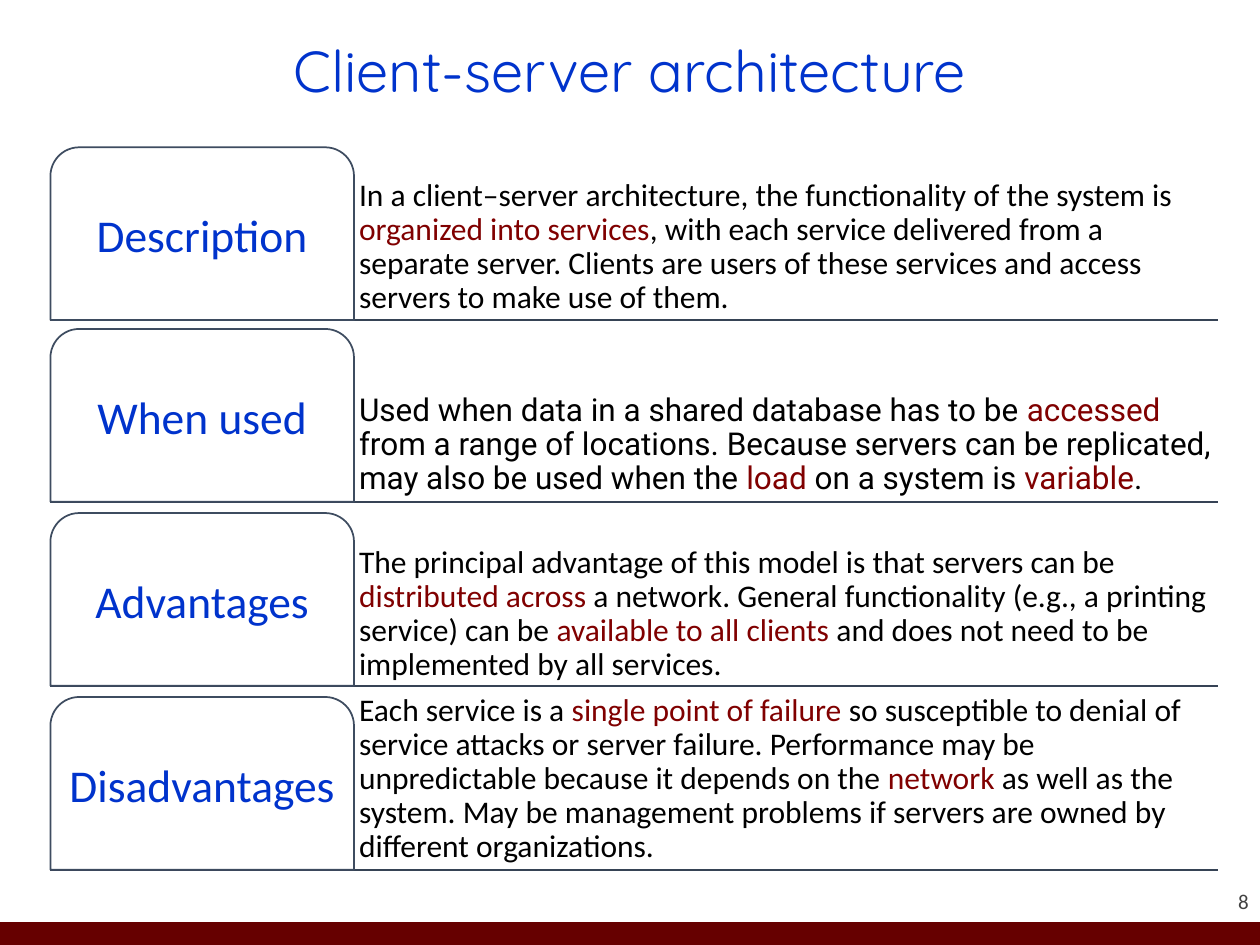
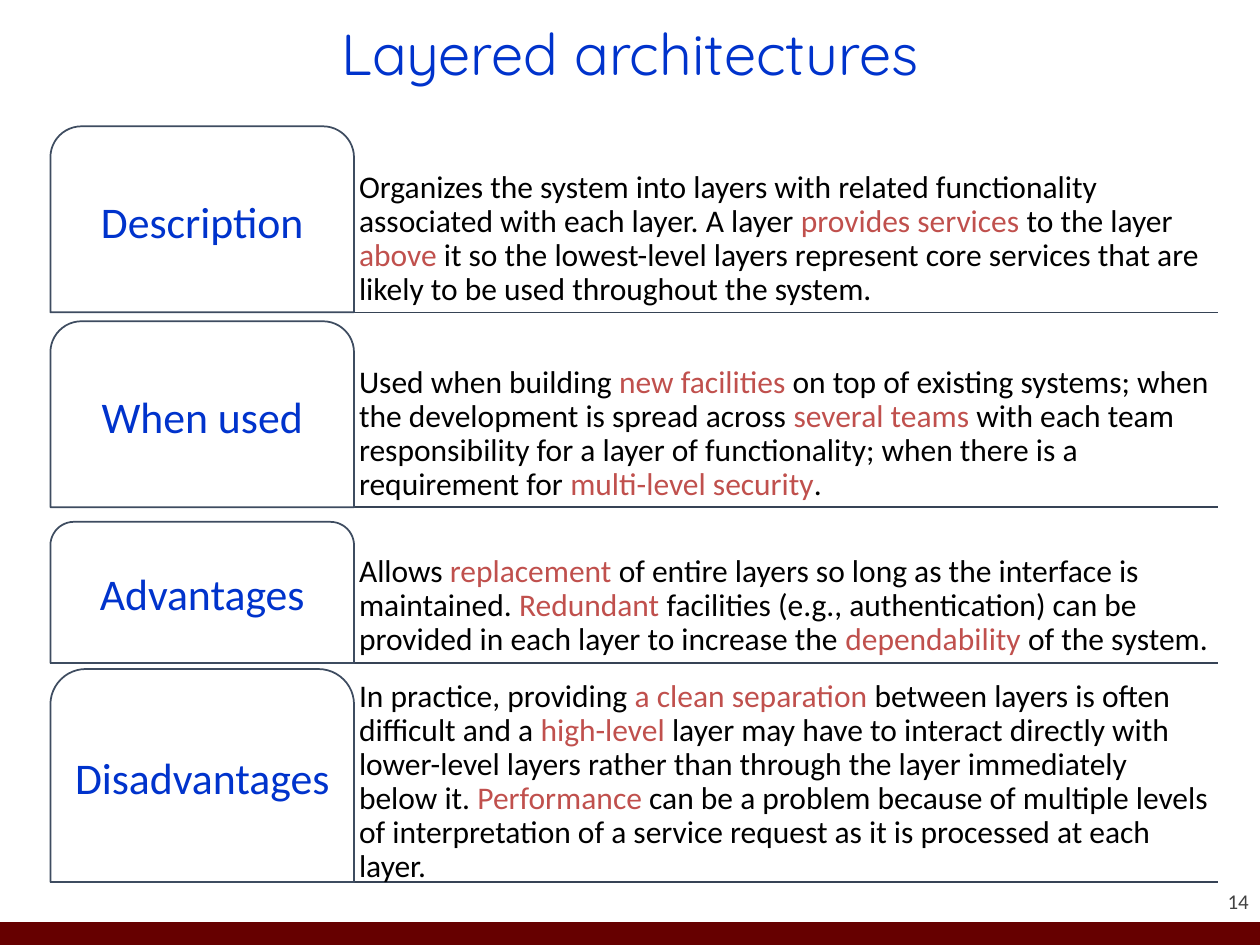
"""Builds two slides that profile the client-server and layered architectures."""
import dataclasses

import lxml.etree
import pptx
import pptx.dml.color
import pptx.enum.shapes
import pptx.enum.text
import pptx.oxml.ns
import pptx.util

Pt = pptx.util.Pt
ALIGN = pptx.enum.text.PP_ALIGN
ANCHOR = pptx.enum.text.MSO_ANCHOR
SHAPE = pptx.enum.shapes.MSO_SHAPE

COLORS = {
    "heading": "0033CC",
    "band": "660000",
    "number": "424242",
    "rule": "364355",
    "tab_line": "3E4C60",
    "tab_fill": "FFFFFF",
    "body": "000000",
    "maroon": "800000",
    "coral": "C0504D",
}
SLIDE_WIDTH, SLIDE_HEIGHT = 720, 540
BAND_HEIGHT = 13
TAB_LEFT, TAB_WIDTH = 28.8, 173.5
RULE_RIGHT = 696.2
BODY_LEFT = TAB_LEFT + TAB_WIDTH


@dataclasses.dataclass
class Aspect:
    """One row: a labelled tab and a text whose emphasis stands between asterisks."""
    label: str
    top: float
    height: float
    text: str
    font: str = "Calibri"
    text_top: float = 0
    text_height: float = 0


CLIENT_SERVER = [
    Aspect("Description", 84.2, 98.7,
           "In a client–server architecture, the functionality of the system is "
           "*organized into services*, with each service delivered from a separate server. "
           "Clients are users of these services and access servers to make use of them."),
    Aspect("When used", 188, 98.7,
           "Used when data in a shared database has to be *accessed *from a range of locations. "
           "Because servers can be replicated, may also be used when the *load *on a system is "
           "*variable*.", font="Roboto"),
    Aspect("Advantages", 293.2, 98.7,
           "The principal advantage of this model is that servers can be *distributed across *"
           "a network. General functionality (e.g., a printing service) can be "
           "*available to all clients* and does not need to be implemented by all services.",
           text_top=291.6, text_height=101.2),
    Aspect("Disadvantages", 398.3, 98.7,
           "Each service is a *single point of failure *so susceptible to denial of service "
           "attacks or server failure. Performance may be unpredictable because it depends on "
           "the *network *as well as the system. May be management problems if servers are "
           "owned by different organizations."),
]
LAYERED = [
    Aspect("Description", 72.2, 106.3,
           "Organizes the system into layers with related functionality associated with each "
           "layer. A layer *provides services *to the layer *above* it so the lowest-level "
           "layers represent core services that are likely to be used throughout the system."),
    Aspect("When used", 183.6, 106.3,
           "Used when building *new facilities *on top of existing systems; when the "
           "development is spread across *several teams *with each team responsibility for a "
           "layer of functionality; when there is a requirement for *multi-level security*."),
    Aspect("Advantages", 298.2, 80.6,
           "Allows *replacement* of entire layers so long as the interface is maintained. "
           "*Redundant* facilities (e.g., authentication) can be provided in each layer to "
           "increase the *dependability* of the system.",
           text_top=306, text_height=72.8),
    Aspect("Disadvantages", 382.3, 121.7,
           "In practice, providing *a clean separation *between layers is often difficult and a "
           "*high-level *layer may have to interact directly with lower-level layers rather "
           "than through the layer immediately below it. *Performance* can be a problem because "
           "of multiple levels of interpretation of a service request as it is processed at "
           "each layer.", text_top=401.8, text_height=106.6),
]


def rgb(name):
    """Look up a named colour."""
    return pptx.dml.color.RGBColor.from_string(COLORS[name])


def style_run(run, size, color, font="Calibri"):
    """Set the size, colour and typeface of a run."""
    run.font.size = Pt(size)
    run.font.name = font
    run.font.color.rgb = rgb(color)


def style_frame(frame, anchor, inset):
    """Wrap a text frame, anchor it and give it equal insets."""
    frame.word_wrap = True
    frame.vertical_anchor = anchor
    frame.margin_left = frame.margin_right = Pt(inset)
    frame.margin_top = frame.margin_bottom = Pt(inset)


def fill_line(frame, text, size, color, align, font="Calibri"):
    """Write one uniformly formatted paragraph."""
    frame.text = text
    paragraph = frame.paragraphs[0]
    paragraph.alignment = align
    paragraph.line_spacing = 0.9
    style_run(paragraph.runs[0], size, color, font)


def add_filled(slide, kind, left, top, width, height, fill):
    """Add a flat preset shape with a solid fill."""
    shape = slide.shapes.add_shape(kind, Pt(left), Pt(top), Pt(width), Pt(height))
    shape.shadow.inherit = False
    shape.fill.solid()
    shape.fill.fore_color.rgb = rgb(fill)
    return shape


def add_footer(slide, number):
    """Add the bottom band and the slide number."""
    band = add_filled(slide, SHAPE.RECTANGLE, 0, SLIDE_HEIGHT - BAND_HEIGHT,
                      SLIDE_WIDTH, BAND_HEIGHT, "band")
    band.line.fill.background()
    page = slide.shapes.add_textbox(Pt(653.8), Pt(493.2), Pt(59.8), Pt(28.8))
    style_frame(page.text_frame, ANCHOR.BOTTOM, 0)
    fill_line(page.text_frame, str(number), 12, "number", ALIGN.RIGHT)
    page.text_frame.paragraphs[0].line_spacing = 1.0


def set_title(slide, text, top):
    """Place and format the slide title."""
    title = slide.shapes.title
    title.left, title.top, title.width, title.height = Pt(49.7), Pt(top), Pt(620.6), Pt(67.7)
    title.text_frame.vertical_anchor = ANCHOR.MIDDLE
    fill_line(title.text_frame, text, 33, "heading", ALIGN.CENTER, "Quicksand")


def add_rule(slide, y):
    """Draw the line under a row."""
    rule = slide.shapes.add_connector(pptx.enum.shapes.MSO_CONNECTOR.STRAIGHT,
                                      Pt(TAB_LEFT), Pt(y), Pt(RULE_RIGHT), Pt(y))
    rule.line.color.rgb = rgb("rule")
    rule.line.width = Pt(1)
    lxml.etree.SubElement(rule._element.spPr, pptx.oxml.ns.qn("a:effectLst"))


def add_explanation(slide, aspect, accent):
    """Add the row text, colouring the emphasized parts."""
    box = slide.shapes.add_textbox(
        Pt(BODY_LEFT), Pt(aspect.text_top or aspect.top),
        Pt(RULE_RIGHT - BODY_LEFT), Pt(aspect.text_height or aspect.height))
    style_frame(box.text_frame, ANCHOR.BOTTOM, 2.9)
    paragraph = box.text_frame.paragraphs[0]
    paragraph.line_spacing = 0.9
    for index, part in enumerate(aspect.text.split("*")):
        run = paragraph.add_run()
        run.text = part
        style_run(run, 18, accent if index % 2 else "body", aspect.font)


def add_tab(slide, aspect, label_size):
    """Add the round-topped tab that names the row."""
    tab = add_filled(slide, SHAPE.ROUND_2_SAME_RECTANGLE, TAB_LEFT, aspect.top,
                     TAB_WIDTH, aspect.height, "tab_fill")
    tab.adjustments[0] = 0.167
    tab.adjustments[1] = 0
    tab.line.color.rgb = rgb("tab_line")
    tab.line.width = Pt(1)
    style_frame(tab.text_frame, ANCHOR.MIDDLE, 3.6)
    fill_line(tab.text_frame, aspect.label, label_size, "heading", ALIGN.CENTER)


def add_profile(deck, number, title, title_top, aspects, accent, label_size):
    """Add one slide with a row for each aspect of an architecture."""
    slide = deck.slides.add_slide(deck.slide_layouts.get_by_name("Title Only"))
    add_footer(slide, number)
    set_title(slide, title, title_top)
    for aspect in aspects:
        add_rule(slide, aspect.top + aspect.height)
    for aspect in aspects:
        add_explanation(slide, aspect, accent)
        add_tab(slide, aspect, label_size)


def main():
    """Build and save the deck."""
    deck = pptx.Presentation()
    deck.slide_width, deck.slide_height = Pt(SLIDE_WIDTH), Pt(SLIDE_HEIGHT)
    add_profile(deck, 8, "Client-server architecture", 8.6, CLIENT_SERVER, "maroon", 26)
    add_profile(deck, 14, "Layered architectures", -1.4, LAYERED, "coral", 25)
    deck.save("out.pptx")


if __name__ == "__main__":
    main()
